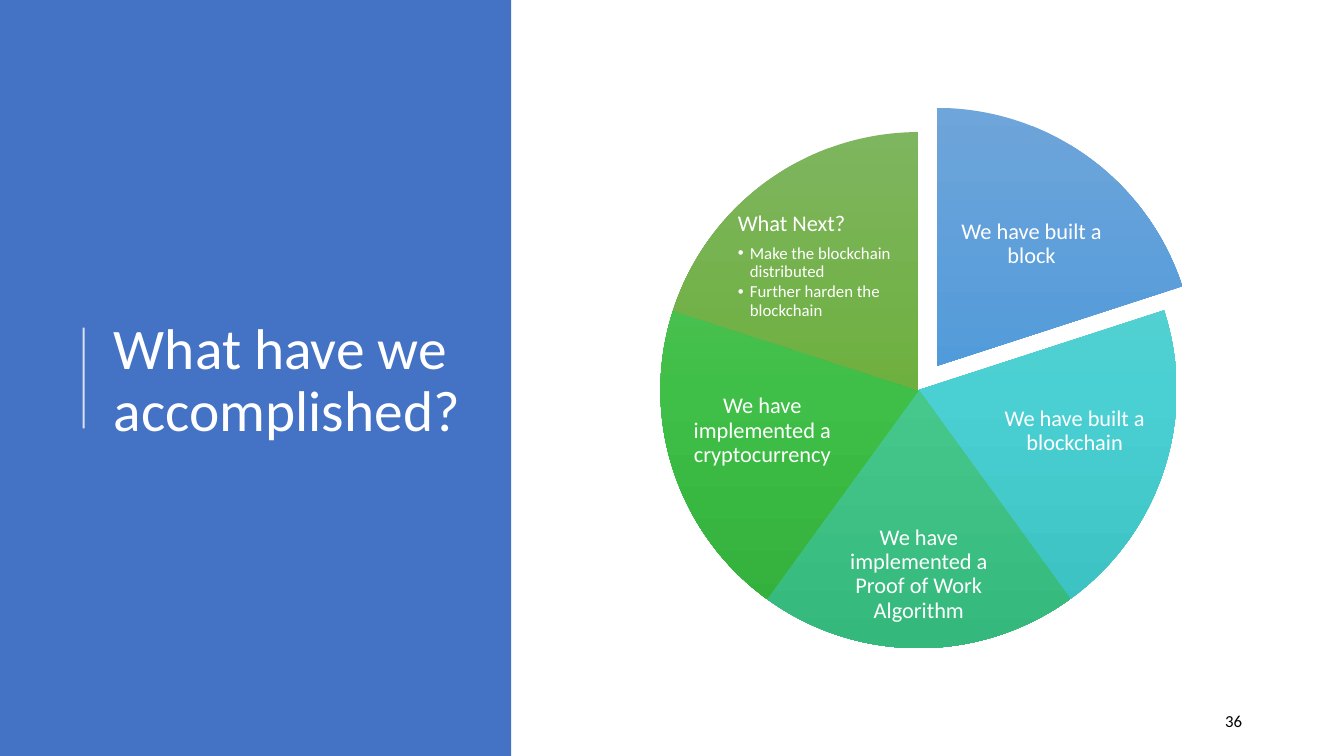
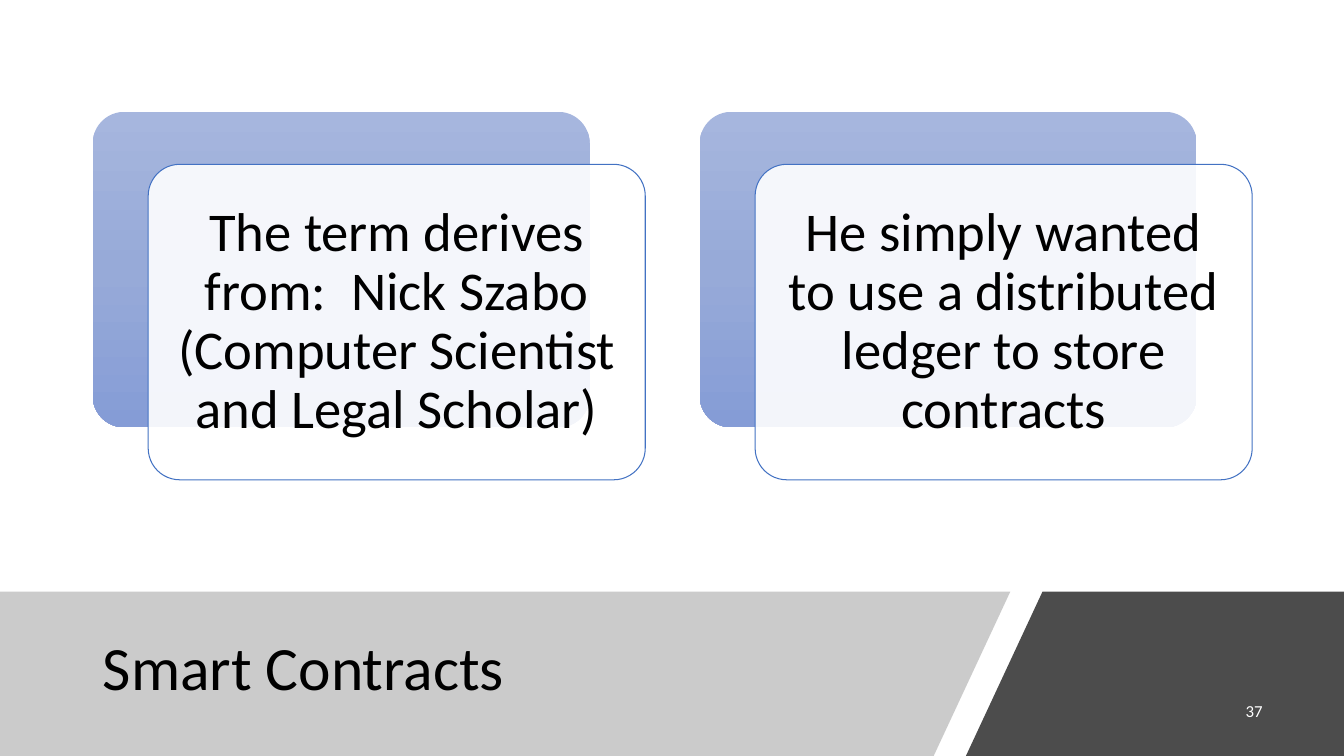
import collections
import copy

import pptx
import pptx.util
import pptx.dml.color
import pptx.enum.shapes
import pptx.enum.text
import pptx.oxml
import pptx.oxml.ns

Shape = pptx.enum.shapes.MSO_SHAPE
Align = pptx.enum.text.PP_ALIGN
Anchor = pptx.enum.text.MSO_ANCHOR
Fit = pptx.enum.text.MSO_AUTO_SIZE
Inches, Pt = pptx.util.Inches, pptx.util.Pt
qn = pptx.oxml.ns.qn
Box = collections.namedtuple("Box", "x y w h")
PAGE = Box(0, 0, 13.33, 7.5)


class Theme:
    font = "Calibri"
    white, black = "FFFFFF", "000000"
    blue, edge, gray = "4472C4", "4372C3", "7F7F7F"
    card = "A6B6DE", "97AAD8", "859CD6"
    pie = (
        ("6EA5DA", "529BDA", "4188C8"),
        ("69D0D1", "4AD0D2", "3ABFC0"),
        ("65C998", "46C78C", "35B87B"),
        ("60C165", "3FBF47", "32AE3A"),
        ("7EB55F", "6EB03F", "5F9F34"),
    )
    side, head, body, label, small = 41, 44, 39, 16, 12
    tight = 0.9
    pad = 0.1, 0.05, 0.1, 0.05


def put(item, **vals):
    for key, val in vals.items():
        setattr(item, key, val)


def rgb(code):
    return pptx.dml.color.RGBColor.from_string(code)


def part(box, left, top, wide, high):
    return Box(box.x + box.w * left / 100, box.y + box.h * top / 100,
               box.w * wide / 100, box.h * high / 100)


def place(box):
    return [Inches(v) for v in box]


def add_tag(root, name, **vals):
    node = pptx.oxml.parse_xml(f"<a:{name} {pptx.oxml.ns.nsdecls('a')}/>")
    for key, val in vals.items():
        node.set(key, str(val))
    root.append(node)
    return node


def fade(root, share):
    add_tag(root.find(".//" + qn("a:srgbClr")), "alpha", val=share * 1000)


def paint(shape, fill, share=100, edge=None):
    shape.shadow.inherit = False
    if isinstance(fill, tuple):
        shape.fill.gradient()
        shape.fill.gradient_angle = 270
        stops = shape._element.spPr.find(".//" + qn("a:gsLst"))
        stops.append(copy.deepcopy(stops[0]))
        for rank, (stop, code) in enumerate(zip(shape.fill.gradient_stops, fill)):
            stop.position = rank / 2
            stop.color.rgb = rgb(code)
    else:
        shape.fill.solid()
        shape.fill.fore_color.rgb = rgb(fill)
        if share < 100:
            fade(shape._element.spPr, share)
    if edge:
        shape.line.color.rgb = rgb(edge)
        shape.line.width = Pt(0.75)
    else:
        shape.line.fill.background()


def add_form(slide, kind, box, fill, adjust=(), **look):
    shape = slide.shapes.add_shape(kind, *place(box))
    for rank, val in enumerate(adjust):
        shape.adjustments[rank] = val
    paint(shape, fill, **look)
    return shape


def add_free(slide, points, fill, share):
    spots = [(Inches(PAGE.w * x / 100), Inches(PAGE.h * y / 100)) for x, y in points]
    build = slide.shapes.build_freeform(*spots[0])
    build.add_line_segments(spots[1:], close=True)
    paint(build.convert_to_shape(), fill, share)


def set_frame(frame, pad, anchor=Anchor.MIDDLE):
    left, top, right, low = (Inches(v) for v in pad)
    put(frame, word_wrap=True, auto_size=Fit.NONE, vertical_anchor=anchor,
        margin_left=left, margin_top=top, margin_right=right, margin_bottom=low)


def style(para, text, size, color, **look):
    put(para, **look)
    run = para.add_run()
    run.text = text
    put(run.font, size=Pt(size), name=Theme.font)
    run.font.color.rgb = rgb(color)


def add_text(slide, box, text, size, color, pad=Theme.pad, anchor=Anchor.MIDDLE, **look):
    frame = slide.shapes.add_textbox(*place(box)).text_frame
    set_frame(frame, pad, anchor)
    style(frame.paragraphs[0], text, size, color, **look)
    return frame


def set_title(slide, box, text, size, color):
    title = slide.shapes.title
    slide.shapes._spTree.append(title._element)
    left, top, wide, high = place(box)
    put(title, left=left, top=top, width=wide, height=high)
    set_frame(title.text_frame, Theme.pad)
    style(title.text_frame.paragraphs[0], text, size, color,
          alignment=Align.LEFT, line_spacing=Theme.tight)


def add_number(slide, box, text, color):
    add_text(slide, box, text, Theme.small, color, alignment=Align.RIGHT)


def add_bullet(frame, text, gap):
    para = frame.add_paragraph()
    props = para._p.get_or_add_pPr()
    props.set("marL", str(Inches(0.12)))
    props.set("indent", str(-Inches(0.12)))
    add_tag(add_tag(props, "buClr"), "srgbClr", val=Theme.white)
    add_tag(props, "buFont", typeface="Arial")
    add_tag(props, "buChar", char="•")
    style(para, text, Theme.small, Theme.white, level=1,
          line_spacing=Theme.tight, space_before=Pt(gap))


def draw_side(slide, box, text):
    add_form(slide, Shape.RECTANGLE, box, Theme.blue)
    set_title(slide, part(box, 20.32, 10.4, 72.78, 80.27), text, Theme.side, Theme.white)
    rule = part(box, 16.37, 43.33, 0, 13.34)
    line = slide.shapes.add_connector(
        pptx.enum.shapes.MSO_CONNECTOR.STRAIGHT,
        *place((rule.x, rule.y + rule.h, rule.x, rule.y)))
    line.line.color.rgb = rgb(Theme.white)
    line.line.width = Pt(1.5)
    fade(line._element.spPr, 80)
    add_tag(line._element.spPr, "effectLst")


def draw_pie(slide, box, labels, points):
    sweep = 360 / len(labels)
    for rank, (text, area) in enumerate(labels):
        start = (270 + rank * sweep) % 360
        ends = [turn % 360 * 0.6 for turn in (start, start + sweep)]
        shift = (3.52, -4.69) if rank == 0 else (0, 0)
        add_form(slide, Shape.PIE, part(box, *shift, 100, 100), Theme.pie[rank], ends)
        last = rank == len(labels) - 1
        frame = add_text(
            slide, part(box, *area), text, Theme.label, Theme.white, (0.02,) * 4,
            Anchor.TOP if last else Anchor.MIDDLE,
            alignment=Align.LEFT if last else Align.CENTER, line_spacing=Theme.tight)
    for text, gap in points:
        add_bullet(frame, text, gap)


def draw_foot(slide, text):
    top = 78.27
    add_free(slide, [(0, top), (75.17, top), (69.47, 100), (0, 100)], Theme.gray, 40)
    set_title(slide, part(PAGE, 6.9, 80.67, 63.32, 16), text, Theme.head, Theme.black)
    add_free(slide, [(77.57, top), (100, top), (100, 100), (71.87, 100)], Theme.black, 70)


def draw_card(slide, box, text):
    wide, high = 89.96, 85.75
    add_form(slide, Shape.ROUNDED_RECTANGLE, part(box, 0, 0, wide, high), Theme.card, [0.1])
    front = add_form(slide, Shape.ROUNDED_RECTANGLE,
                     part(box, 100 - wide, 100 - high, wide, high),
                     Theme.white, [0.1], share=90, edge=Theme.edge)
    set_frame(front.text_frame, (0.16,) * 4)
    style(front.text_frame.paragraphs[0], text, Theme.body, Theme.black,
          alignment=Align.CENTER, line_spacing=Theme.tight)


def make_done(slide):
    draw_side(slide, part(PAGE, 0, 0, 38.03, 100), "What have we accomplished?")
    add_number(slide, part(PAGE, 70.67, 92.67, 22.5, 5.33), "36", Theme.black)
    draw_pie(slide, part(PAGE, 49.14, 17.47, 38.41, 68.27), [
        ("We have built a block", (54.9, 10.2, 34, 23.2)),
        ("We have built a blockchain", (65.4, 45.3, 29.7, 25.2)),
        ("We have implemented a Proof of Work Algorithm", (32.2, 75, 35.7, 21.5)),
        ("We have implemented a cryptocurrency", (4.9, 45.3, 29.7, 25.2)),
        ("What Next?", (14.6, 15.2, 34, 23.2)),
    ], [("Make the blockchain distributed", 5.6), ("Further harden the blockchain", 1.8)])


def make_smart(slide):
    draw_foot(slide, "Smart Contracts")
    add_number(slide, part(PAGE, 83.65, 91.33, 11.03, 5.33), "37", Theme.white)
    texts = ("The term derives from:  Nick Szabo (Computer Scientist and Legal Scholar)",
             "He simply wanted to use a distributed ledger to store contracts")
    for rank, text in enumerate(texts):
        draw_card(slide, part(PAGE, 6.9 + rank * 45.16, 14.8, 41.11, 48.67), text)


def main():
    deck = pptx.Presentation()
    put(deck, slide_width=Inches(PAGE.w), slide_height=Inches(PAGE.h))
    for make in (make_done, make_smart):
        make(deck.slides.add_slide(deck.slide_layouts[5]))
    deck.save("out.pptx")


if __name__ == "__main__":
    main()
